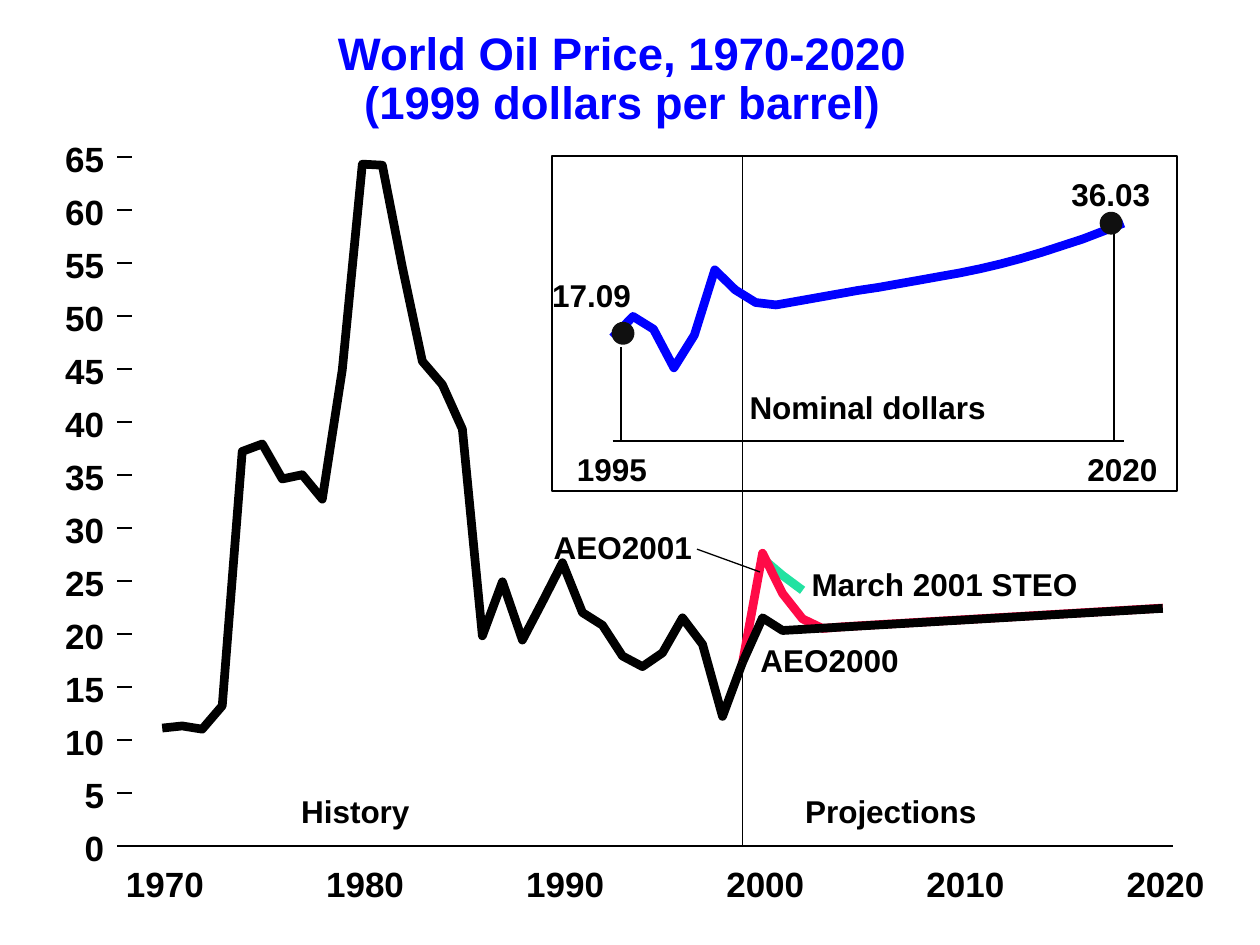
from dataclasses import dataclass

from lxml import etree
from pptx import Presentation
from pptx.dml.color import RGBColor
from pptx.enum.shapes import MSO_CONNECTOR, MSO_SHAPE
from pptx.enum.text import MSO_AUTO_SIZE, PP_ALIGN
from pptx.oxml.ns import qn
from pptx.util import Cm, Pt

LEFT, CENTER, RIGHT = PP_ALIGN.LEFT, PP_ALIGN.CENTER, PP_ALIGN.RIGHT
STRAIGHT = MSO_CONNECTOR.STRAIGHT
RECTANGLE, OVAL = MSO_SHAPE.RECTANGLE, MSO_SHAPE.OVAL
FIT_SHAPE = MSO_AUTO_SIZE.SHAPE_TO_FIT_TEXT
BLACK, BLUE, RED, GREEN, DOT = "000000", "0000FF", "FF0A47", "22E2A1", "101010"


@dataclass(frozen=True)
class Scale:
    """Maps years and prices to centimetres on the slide."""
    first_year: int
    years: int
    left: float
    width: float
    base: float
    height: float
    top_price: float

    def x(self, year: float) -> float:
        return self.left + self.width * (year - self.first_year) / self.years

    def y(self, price: float) -> float:
        return self.base - self.height * price / self.top_price


@dataclass(frozen=True)
class Series:
    scale: Scale
    first_year: int
    prices: list[float]
    color: str


@dataclass(frozen=True)
class Label:
    text: str
    left: float
    top: float
    width: float


@dataclass(frozen=True)
class Endpoint:
    """A marked end of the nominal price curve, with its drop line."""
    center_x: float
    center_y: float
    drop_x: float
    drop_top: float


MAIN = Scale(1970, 50, 3.27, 20.17, 17.05, 13.89, 65)
INSET = Scale(1995, 25, 12.35, 10.3, 8.89, 4.39, 36.03)

HISTORY = [11.1, 11.3, 11.0, 13.2, 37.2, 37.9, 34.6, 35.0, 32.7, 44.9,
           64.3, 64.2, 54.6, 45.7, 43.5, 39.3, 19.8, 24.9, 19.4, 23.0,
           26.7, 22.0, 20.8, 17.9, 16.9, 18.2, 21.5, 19.0, 12.2, 17.3]
STEO = [27.1, 25.5, 24.1]
AEO2001 = [17.3, 27.6, 23.8, 21.4, 20.5] + [20.66 + 0.11 * n for n in range(17)]
AEO2000 = [17.3, 21.5] + [20.3 + 0.11 * n for n in range(20)]
NOMINAL = [17.1, 20.6, 18.5, 12.1, 17.5, 28.3, 25.0, 22.9, 22.5, 23.1, 23.7,
           24.3, 24.9, 25.4, 26.0, 26.6, 27.2, 27.8, 28.5, 29.3, 30.2, 31.2,
           32.3, 33.4, 34.7, 36.03]

MAIN_SERIES = [
    Series(MAIN, 2000, STEO, GREEN),
    Series(MAIN, 1999, AEO2001, RED),
    Series(MAIN, 1999, AEO2000, BLACK),
    Series(MAIN, 1970, HISTORY, BLACK),
]
LABELS = [
    Label("History", 6.07, 15.96, 2.25),
    Label("Projections", 16.23, 15.96, 3.55),
    Label("AEO2001", 11.16, 10.65, 2.85),
    Label("AEO2000", 15.33, 12.93, 2.85),
    Label("March 2001 STEO", 16.36, 11.4, 5.45),
    Label("1995", 11.63, 9.07, 1.45),
    Label("2020", 21.92, 9.07, 1.45),
    Label("17.09", 11.13, 5.57, 1.65),
    Label("36.03", 21.6, 3.53, 1.65),
    Label("Nominal dollars", 15.11, 7.83, 4.85),
]
ENDPOINTS = [Endpoint(22.4, 4.5, 22.45, 4.6), Endpoint(12.56, 6.72, 12.52, 6.99)]
DOT_SIZE = 0.43
TICK_LEFT, AXIS_LEFT, AXIS_RIGHT = 2.36, 2.67, 23.65

prs = Presentation()
prs.slide_width, prs.slide_height = Cm(25.4), Cm(19.05)
shapes = prs.slides.add_slide(prs.slide_layouts[6]).shapes


def rgb(color: str) -> RGBColor:
    return RGBColor.from_string(color)


def add_text(text: str, left: float, top: float, width: float, height: float, *,
             size: float = 18, color: str = BLACK, align: PP_ALIGN = LEFT,
             spacing: float = 1.0) -> None:
    frame = shapes.add_textbox(Cm(left), Cm(top), Cm(width), Cm(height)).text_frame
    frame.margin_left = frame.margin_right = frame.margin_top = frame.margin_bottom = 0
    frame.word_wrap = False
    frame.auto_size = FIT_SHAPE
    frame.text = text
    for paragraph in frame.paragraphs:
        paragraph.alignment = align
        paragraph.line_spacing = spacing
        font = paragraph.font
        font.name, font.size, font.bold = "Arial", Pt(size), True
        font.color.rgb = rgb(color)


def add_line(x1: float, y1: float, x2: float, y2: float, weight: float = 1) -> None:
    line = shapes.add_connector(STRAIGHT, Cm(x1), Cm(y1), Cm(x2), Cm(y2))
    line.line.color.rgb = rgb(BLACK)
    line.line.width = Pt(weight)
    etree.SubElement(line._element.spPr, qn("a:effectLst"))


def add_curve(series: Series) -> None:
    points = [(Cm(series.scale.x(year)), Cm(series.scale.y(price)))
              for year, price in enumerate(series.prices, series.first_year)]
    builder = shapes.build_freeform(*points[0])
    builder.add_line_segments(points[1:], close=False)
    curve = builder.convert_to_shape()
    curve.fill.background()
    curve.line.color.rgb = rgb(series.color)
    curve.line.width = Pt(5)
    curve.shadow.inherit = False


def add_inset_frame() -> None:
    frame = shapes.add_shape(RECTANGLE, Cm(11.13), Cm(3.14), Cm(12.6), Cm(6.76))
    frame.fill.background()
    frame.line.color.rgb = rgb(BLACK)
    frame.line.width = Pt(1)
    frame.shadow.inherit = False


def add_endpoint(end: Endpoint) -> None:
    add_line(end.drop_x, INSET.base, end.drop_x, end.drop_top)
    dot = shapes.add_shape(OVAL, Cm(end.center_x - DOT_SIZE / 2),
                           Cm(end.center_y - DOT_SIZE / 2), Cm(DOT_SIZE), Cm(DOT_SIZE))
    dot.fill.solid()
    dot.fill.fore_color.rgb = rgb(DOT)
    dot.line.color.rgb = rgb(DOT)
    dot.line.width = Pt(0.88)
    dot.shadow.inherit = False


def main() -> None:
    history_end = MAIN.x(1999)
    add_line(history_end, MAIN.y(65), history_end, MAIN.base)
    for series in MAIN_SERIES:
        add_curve(series)

    for price in range(0, 70, 5):
        y = MAIN.y(price)
        add_line(TICK_LEFT, y, AXIS_LEFT, y)
        add_text(str(price), 1.2, y - 0.38, 0.9, 0.84, size=20, align=RIGHT)
    add_line(AXIS_LEFT, MAIN.base, AXIS_RIGHT, MAIN.base)
    for year in range(1970, 2030, 10):
        add_text(str(year), MAIN.x(year) - 0.73, 17.38, 1.65, 0.84, size=20)

    add_inset_frame()
    add_curve(Series(INSET, 1995, NOMINAL, BLUE))
    add_line(INSET.x(1995), INSET.base, INSET.x(2020), INSET.base)
    for end in ENDPOINTS:
        add_endpoint(end)

    for label in LABELS:
        add_text(label.text, label.left, label.top, label.width, 0.76)
    add_text("World Oil Price, 1970-2020\n(1999 dollars per barrel)", 6.81, 0.63, 11.48, 1.98,
             size=26, color=BLUE, align=CENTER, spacing=0.9)
    add_line(14.05, 11.07, 15.32, 11.53, weight=0.75)
    prs.save("out.pptx")


if __name__ == "__main__":
    main()
